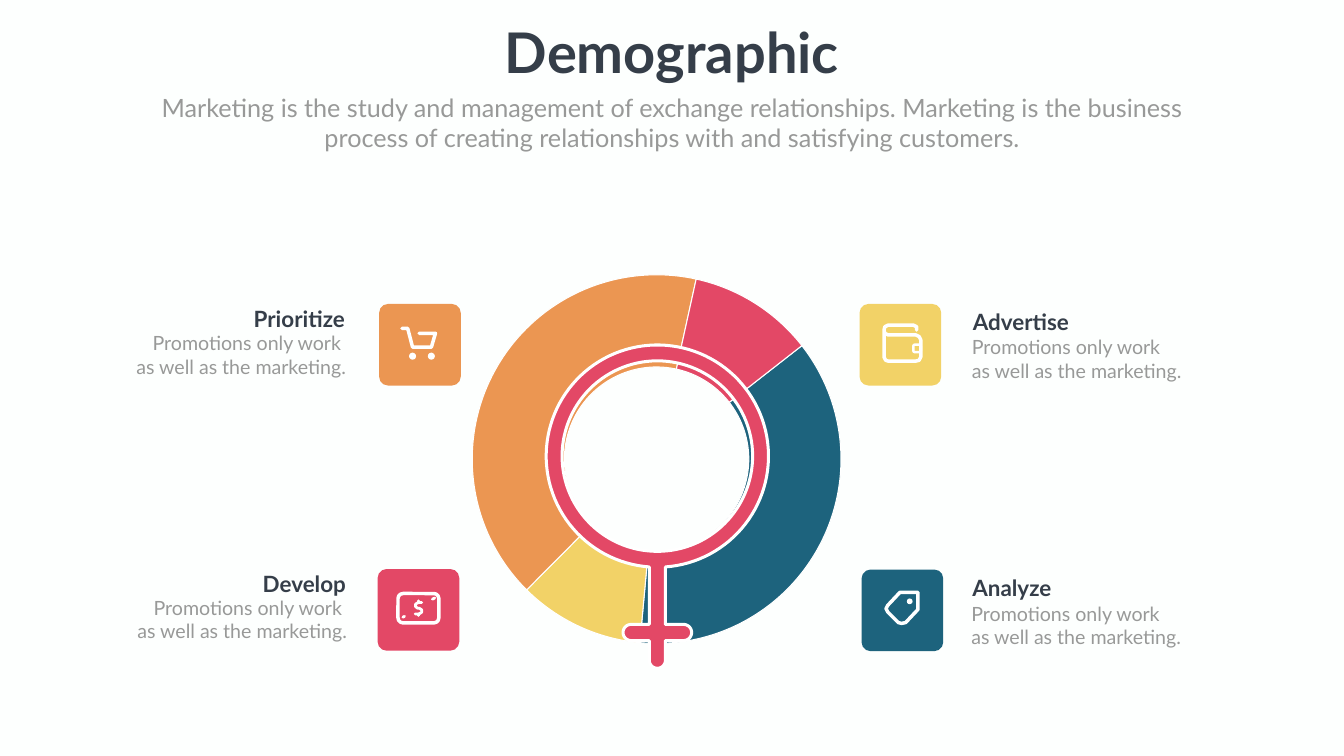
"""Build the Demographic slide: a doughnut, a female symbol and four captioned icon tiles."""
from dataclasses import dataclass
from math import asin, cos, degrees, radians, sin

from lxml.etree import SubElement
from pptx import Presentation
from pptx.chart.data import CategoryChartData
from pptx.dml.color import RGBColor
from pptx.enum.chart import XL_CHART_TYPE
from pptx.enum.shapes import MSO_SHAPE
from pptx.enum.text import PP_ALIGN
from pptx.oxml import parse_xml
from pptx.oxml.ns import nsdecls, qn
from pptx.util import Emu, Inches, Pt

Point = tuple[float, float]


@dataclass(frozen=True)
class Theme:
    background: str = "FDFFFE"
    white: str = "FFFFFF"
    dark: str = "353E49"
    gray: str = "989998"
    blue: str = "1D637D"
    yellow: str = "F2D267"
    orange: str = "EB9652"
    red: str = "E34866"
    font: str = "Lato"
    chart_font: str = "Calibri"
    title: int = 80
    subtitle: int = 36
    heading: int = 32
    body: int = 28
    chart: int = 10


@dataclass(frozen=True)
class Box:
    left: float
    top: float
    width: float
    height: float


@dataclass(frozen=True)
class Stroke:
    points: list[Point]
    weight: float = 5
    closed: bool = False


@dataclass(frozen=True)
class Ring:
    corner: Point
    size: Point
    weight: float


@dataclass(frozen=True)
class Dot:
    center: Point
    radius: float


@dataclass(frozen=True)
class Panel:
    heading: str
    lines: list[str]
    color: str
    tile: Point
    text_edge: float
    heading_top: float
    on_left: bool
    icon: list


THEME = Theme()
WIDTH, HEIGHT = Inches(26.66), Inches(15)
ROWS = 150
CELL = HEIGHT / ROWS
TILE = 16.2
BLURB = ["Promotions only work", "as well as the marketing."]
LEFT_BLURB = ["Promotions only work ", "as well as the marketing."]

CART = [Stroke([(28, 30), (35, 30), (41, 53), (64, 53), (69, 36), (49, 36)]),
        Dot((41, 64), 4.3), Dot((64, 64), 4.3)]
WALLET = [Stroke([(30, 33), (30, 65), (32, 69), (35, 70), (69, 70), (73, 69), (75, 65),
                  (75, 44), (73, 40), (69, 38), (35, 38), (31, 36), (30, 32), (31, 28),
                  (35, 26), (66, 26), (70, 28), (70, 32)]),
          Ring((66, 50), (9, 9), 3.6)]
TAG = [Stroke([(47, 28), (69, 28), (69, 49), (54, 65), (49, 66), (45, 65), (32, 52),
               (30, 48), (32, 44)], closed=True),
       Dot((59, 39), 3.5)]
BANKNOTE = [Ring((25, 30), (50, 36), 5),
            Stroke([(54, 41), (50, 41), (46.5, 43), (46.5, 46), (49, 48), (51, 48),
                    (54, 50), (54, 53), (51, 55), (46, 55)], 4),
            Stroke([(50.5, 39), (50.5, 41)], 4), Stroke([(50.5, 55), (50.5, 57)], 4),
            Stroke([(67, 37), (70, 35.5)], 4), Stroke([(31, 59), (33, 58)], 4)]

PANELS = [
    Panel("Advertise", BLURB, THEME.yellow, (170.5, 60.3), 192, 60.6, False, WALLET),
    Panel("Prioritize", LEFT_BLURB, THEME.orange, (75.2, 60.3), 69.4, 60.1, True, CART),
    Panel("Analyze", BLURB, THEME.blue, (170.9, 113), 191.9, 113.5, False, TAG),
    Panel("Develop", LEFT_BLURB, THEME.red, (74.9, 112.9), 69.6, 112.6, True, BANKNOTE),
]


def rgb(color: str) -> RGBColor:
    return RGBColor.from_string(color)


def cells(*values: float) -> list[Emu]:
    return [Emu(round(value * CELL)) for value in values]


def style(shape, fill: str | None, line: str | None = None, weight: float = 0) -> None:
    shape.shadow.inherit = False
    if fill:
        shape.fill.solid()
        shape.fill.fore_color.rgb = rgb(fill)
    else:
        shape.fill.background()
    if line:
        shape.line.color.rgb = rgb(line)
        shape.line.width = Pt(weight)
    else:
        shape.line.fill.background()


def add_preset(slide, preset, box: Box, fill: str | None, line: str | None = None,
               weight: float = 0):
    shape = slide.shapes.add_shape(preset, *cells(box.left, box.top, box.width, box.height))
    style(shape, fill, line, weight)
    return shape


def add_outline(slide, contours: list[list[Point]], closed: bool):
    first, *holes = [[tuple(cells(*point)) for point in contour] for contour in contours]
    builder = slide.shapes.build_freeform(*first[0], scale=1.0)
    builder.add_line_segments(first[1:], close=closed)
    for hole in holes:
        builder.move_to(*hole[0])
        builder.add_line_segments(hole[1:], close=True)
    return builder.convert_to_shape()


def add_text(slide, box: Box, lines: list[str], size: int, color: str, alignment,
             bold: bool = False, wrap: bool = True) -> None:
    text_box = slide.shapes.add_textbox(*cells(box.left, box.top, box.width, box.height))
    frame = text_box.text_frame
    frame.word_wrap = wrap
    for index, line in enumerate(lines):
        paragraph = frame.add_paragraph() if index else frame.paragraphs[0]
        paragraph.alignment = alignment
        run = paragraph.add_run()
        run.text = line
        run.font.name, run.font.size, run.font.bold = THEME.font, Pt(size), bold
        run.font.color.rgb = rgb(color)


def add_icon(slide, tile: Point, parts: list) -> None:
    def place(point: Point) -> Point:
        return tile[0] + point[0] * TILE / 100, tile[1] + point[1] * TILE / 100

    for part in parts:
        if isinstance(part, Stroke):
            shape = add_outline(slide, [[place(point) for point in part.points]], part.closed)
            style(shape, None, THEME.white, part.weight)
            line = shape.line._get_or_add_ln()
            line.set("cap", "rnd")
            SubElement(line, qn("a:round"))
        elif isinstance(part, Ring):
            size = [side * TILE / 100 for side in part.size]
            shape = add_preset(slide, MSO_SHAPE.ROUNDED_RECTANGLE, Box(*place(part.corner), *size),
                               None, THEME.white, part.weight)
            shape.adjustments[0] = 0.17
        else:
            (x, y), radius = part.center, part.radius
            diameter = 2 * radius * TILE / 100
            add_preset(slide, MSO_SHAPE.OVAL, Box(*place((x - radius, y - radius)),
                                                  diameter, diameter), THEME.white)


def add_tile(slide, panel: Panel) -> None:
    tile = add_preset(slide, MSO_SHAPE.ROUNDED_RECTANGLE, Box(*panel.tile, TILE, TILE), panel.color)
    tile.adjustments[0] = 0.11
    add_icon(slide, panel.tile, panel.icon)


def add_caption(slide, panel: Panel) -> None:
    alignment = PP_ALIGN.RIGHT if panel.on_left else PP_ALIGN.LEFT
    width, body_width = (30.2, 53.7) if panel.on_left else (27.3, 48.6)
    left = panel.text_edge - width if panel.on_left else panel.text_edge
    body_left = panel.text_edge + 0.2 - body_width if panel.on_left else panel.text_edge - 0.2
    body_top = panel.heading_top + (5.1 if panel.on_left else 5.4)
    add_text(slide, Box(left, panel.heading_top, width, 6.4), [panel.heading],
             THEME.heading, THEME.dark, alignment, bold=True)
    add_text(slide, Box(body_left, body_top, body_width, 15.1), panel.lines,
             THEME.body, THEME.gray, alignment)


def add_doughnut(slide, box: Box) -> None:
    data = CategoryChartData()
    data.categories = ["1", "2", "3", "4"]
    data.add_series("Series 1", (37, 11, 41, 11))
    chart = slide.shapes.add_chart(XL_CHART_TYPE.DOUGHNUT, *cells(
        box.left, box.top, box.width, box.height), data).chart
    chart.has_legend = chart.has_title = False
    chart.font.name, chart.font.size = THEME.chart_font, Pt(THEME.chart)
    chart.font.color.rgb = rgb(THEME.gray)
    plot = chart.plots[0]
    plot.vary_by_categories = True
    for index, color in enumerate((THEME.blue, THEME.yellow, THEME.orange, THEME.red)):
        segment = plot.series[0].points[index].format
        segment.fill.solid()
        segment.fill.fore_color.rgb = rgb(color)
        segment.line.color.rgb = rgb(THEME.white)
        segment.line.width = Pt(1.5)
    area = chart._chartSpace.chart.plotArea
    for name, value in (("c:firstSliceAng", "52"), ("c:holeSize", "75")):
        area.find(".//" + qn(name)).set("val", value)
    for layout in area.findall(qn("c:layout")):
        area.remove(layout)
    shares = "".join(f'<c:{name} val="{value}"/>' for name, value in (
        ("layoutTarget", "inner"), ("xMode", "edge"), ("yMode", "edge"),
        ("x", 0.18), ("y", 0.02), ("w", 0.64), ("h", 0.96)))
    area.insert(0, parse_xml(f'<c:layout {nsdecls("c")}><c:manualLayout>{shares}'
                             '</c:manualLayout></c:layout>'))


def arc(x: float, y: float, radius: float, start: float, stop: float) -> list[Point]:
    steps = max(16, round(abs(stop - start) / 3))
    angles = [radians(start + (stop - start) * step / steps) for step in range(steps + 1)]
    return [(x + radius * cos(angle), y + radius * sin(angle)) for angle in angles]


def add_female_symbol(slide) -> None:
    x, y, outer, inner, half = 130.4, 90.5, 22.05, 18.9, 1.6
    bar, foot, reach = 125.5, 131, 5.2
    gap = degrees(asin(half / outer))
    outline = [*arc(x, y, outer, 90 + gap, 450 - gap),
               (x + half, bar - half), *arc(x + reach, bar, half, -90, 90),
               (x + half, bar + half), *arc(x, foot, half, 0, 180),
               (x - half, bar + half), *arc(x - reach, bar, half, 90, 270),
               (x - half, bar - half)]
    symbol = add_outline(slide, [outline, arc(x, y, inner, 360, 0)], True)
    style(symbol, THEME.red, THEME.white, 4.3)


def main() -> None:
    presentation = Presentation()
    presentation.slide_width, presentation.slide_height = WIDTH, HEIGHT
    slide = presentation.slides.add_slide(presentation.slide_layouts[6])
    slide.background.fill.solid()
    slide.background.fill.fore_color.rgb = rgb(THEME.background)
    add_doughnut(slide, Box(73.1, 53, 114.3, 76.2))
    for panel in PANELS:
        add_tile(slide, panel)
    for panel in PANELS:
        add_caption(slide, panel)
    add_text(slide, Box(98.5, 2.9, 69.6, 14.5), ["Demographic"], THEME.title, THEME.dark,
             PP_ALIGN.CENTER, bold=True, wrap=False)
    add_text(slide, Box(29.2, 17.8, 208.2, 13.1),
             ["Marketing is the study and management of exchange relationships. Marketing is the "
              "business process of creating relationships with and satisfying customers."],
             THEME.subtitle, THEME.gray, PP_ALIGN.CENTER)
    add_female_symbol(slide)
    presentation.save("out.pptx")


if __name__ == "__main__":
    main()
